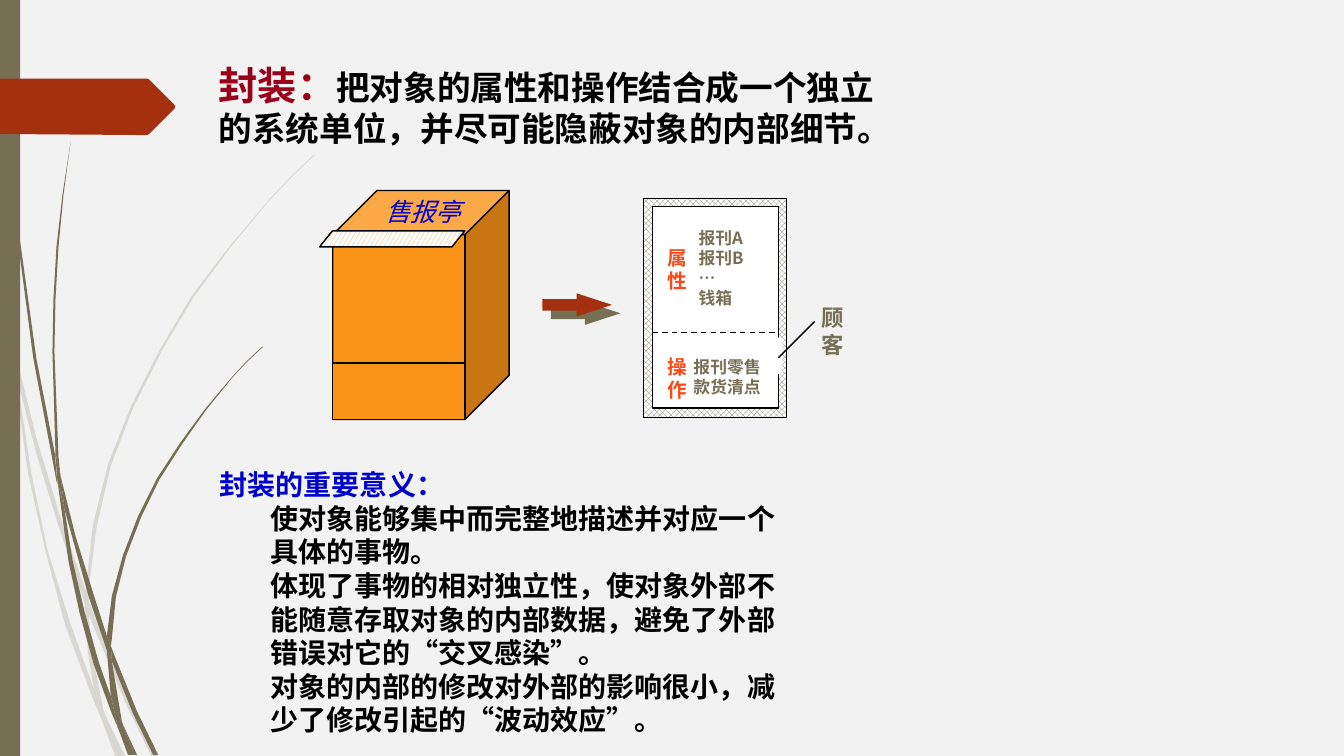
from lxml import etree
from pptx import Presentation
from pptx.dml.color import RGBColor
from pptx.enum.dml import MSO_LINE, MSO_PATTERN
from pptx.enum.shapes import MSO_CONNECTOR, MSO_SHAPE
from pptx.enum.text import MSO_ANCHOR
from pptx.oxml.ns import qn
from pptx.util import Inches, Pt

CUBE, RECT, SLANT = MSO_SHAPE.CUBE, MSO_SHAPE.RECTANGLE, MSO_SHAPE.PARALLELOGRAM
ARROW = MSO_SHAPE.RIGHT_ARROW
CONFETTI, DIAMOND = MSO_PATTERN.LARGE_CONFETTI, MSO_PATTERN.OUTLINED_DIAMOND
STRAIGHT, DASH, TOP = MSO_CONNECTOR.STRAIGHT, MSO_LINE.DASH, MSO_ANCHOR.TOP

FONT = "Noto Sans CJK SC"
COLS, ROWS = 1333, 750
CELL = Inches(0.01)
LEAD = 1.2
HEX = {
    "back": "F2F2F2", "olive": "766F54", "rust": "A53010", "kiosk": "FB9318",
    "wine": "99011A", "blue": "0000CC", "flame": "FB4A18",
    "black": "000000", "white": "FFFFFF",
}

PALE = [
    [(11, 350), (9, 322), (0, 282), (0, 299), (10, 344)],
    [(58, 522), (84, 599), (85, 586), (62, 520), (36, 434), (14, 345), (17, 376), (36, 450)],
    [(92, 607), (88, 596), (88, 610), (123, 694), (150, 750), (155, 750), (127, 692)],
    [(119, 750), (124, 750), (105, 711)],
    [(93, 683), (70, 619), (47, 545), (31, 469), (17, 376), (11, 350), (28, 470),
     (45, 546), (65, 621), (92, 693), (101, 714), (99, 707)],
    [(84, 599), (87, 646), (93, 683), (96, 692), (105, 711), (103, 706), (91, 646),
     (88, 610), (88, 608)],
    [(88, 584), (96, 522), (110, 462), (132, 405), (160, 349), (192, 295), (229, 245),
     (268, 198), (290, 175), (312, 154), (312, 153), (289, 175), (268, 197), (228, 244),
     (190, 294), (158, 348), (130, 403), (107, 461), (92, 522), (85, 584), (85, 586), (88, 596)],
    [(101, 714), (114, 750), (119, 750)],
    [(88, 608), (88, 610), (88, 596), (85, 586), (84, 599)],
    [(96, 692), (93, 683), (99, 707), (101, 714), (119, 750), (105, 711)],
]
DARK = [
    [(7, 110), (17, 233), (33, 355), (56, 477), (57, 481), (55, 457), (55, 453),
     (36, 355), (19, 232), (8, 109), (5, 48), (4, 0), (3, 0), (4, 48)],
    [(88, 592), (106, 645), (106, 633), (106, 631), (93, 590), (75, 532), (60, 472), (64, 505)],
    [(113, 649), (110, 641), (111, 656), (132, 708), (152, 749), (157, 749), (136, 706)],
    [(110, 691), (98, 657), (84, 607), (72, 556), (64, 505), (57, 477), (68, 557),
     (79, 608), (93, 659), (111, 708), (117, 722), (116, 717)],
    [(60, 472), (58, 453), (54, 349), (55, 297), (58, 245), (63, 193), (70, 141),
     (62, 193), (56, 245), (53, 297), (52, 349), (55, 449)],
    [(133, 749), (136, 749), (122, 719)],
    [(57, 477), (64, 505), (60, 472), (55, 449), (55, 453)],
    [(111, 633), (115, 592), (125, 552), (140, 513), (158, 476), (181, 440), (205, 406),
     (231, 374), (245, 359), (261, 344), (260, 344), (245, 358), (231, 373), (204, 405),
     (179, 439), (156, 474), (137, 512), (122, 551), (111, 591), (106, 631), (110, 641)],
    [(117, 722), (127, 749), (131, 749)],
    [(106, 645), (110, 691), (116, 706), (122, 719), (121, 716), (111, 656), (109, 651)],
    [(106, 645), (109, 651), (111, 656), (110, 641), (106, 631), (106, 633)],
    [(116, 706), (110, 691), (116, 717), (117, 722), (130, 749), (133, 749), (122, 719)],
]
TAG = [(173, 108), (148, 133), (146, 134), (136, 134), (0, 133), (0, 78),
       (136, 78), (146, 78), (148, 79), (173, 104), (174, 106)]

BAR = (RECT, (0, 0, 20, 750), "olive", None, False, ())
SHAPES = [
    (CUBE, (330, 189, 175, 227), "kiosk", None, True, (0.25,)),
    (RECT, (330, 360, 131, 56), "kiosk", None, True, ()),
    (SLANT, (317, 229, 144, 16), "kiosk", CONFETTI, True, (0.8,)),
    (ARROW, (538, 291, 69, 23), "rust", None, False, (0.5, 1.53)),
    (RECT, (638, 197, 142, 217), "olive", DIAMOND, True, ()),
    (RECT, (647, 205, 125, 200), "white", None, True, ()),
]
GAP = (RECT, (763, 335, 13, 36), "white", None, False, ())
LINES = [((647, 330, 772, 330), DASH), ((772, 355, 808, 319), None)]

TEXTS = [
    ((217, 67, 680, 88), 0, True, 24, [
        (0, [("封装：", 28, "wine"),
             ("把对象的属性和操作结合成一个独立的系统单位，并尽可能隐蔽对象的内部细节。", 24, "black")])]),
    ((372, 190, 95, 40), 1, False, 18, [(0, [("售报亭", 18, "blue")])]),
    ((652, 239, 45, 57), 1, True, 14, [(0, [(t, 14, "flame")]) for t in "属性"]),
    ((652, 347, 45, 57), 1, True, 14, [(0, [("操作", 14, "flame")])]),
    ((683, 221, 81, 91), 1, True, 12,
     [(0, [(t, 12, "olive")]) for t in ("报刊A", "报刊B", "…", "钱箱")]),
    ((678, 349, 110, 50), 1, True, 12,
     [(0, [(t, 12, "olive")]) for t in ("报刊零售", "款货清点")]),
    ((805, 297, 43, 64), 1, False, 16, [(0, [(t, 16, "olive")]) for t in "顾客"]),
    ((218, 464, 567, 267), 0, True, 20,
     [(0, [("封装的重要意义：", 20, "blue")])] + [(1, [(t, 20, "black")]) for t in (
         "使对象能够集中而完整地描述并对应一个具体的事物。",
         "体现了事物的相对独立性，使对象外部不能随意存取对象的内部数据，避免了外部错误对它的“交叉感染”。",
         "对象的内部的修改对外部的影响很小，减少了修改引起的“波动效应”。")]),
]


def tint(name):
    return RGBColor.from_string(HEX[name])


def span(box):
    return [CELL * n for n in box]


def draw_free(slide, pts, hue, alpha=100):
    pen = slide.shapes.build_freeform(*pts[0], scale=CELL)
    pen.add_line_segments(pts[1:])
    blade = pen.convert_to_shape()
    blade.shadow.inherit = False
    blade.fill.solid()
    blade.fill.fore_color.rgb = tint(hue)
    blade.line.fill.background()
    if alpha < 100:
        tone = blade._element.spPr.find(qn("a:solidFill"))[0]
        etree.SubElement(tone, qn("a:alpha"), val=str(alpha * 1000))


def draw_shape(slide, kind, box, hue, weave, edge, adj):
    item = slide.shapes.add_shape(kind, *span(box))
    item.shadow.inherit = False
    for i, val in enumerate(adj):
        item.adjustments[i] = val
    if weave:
        item.fill.patterned()
        item.fill.pattern = weave
        item.fill.back_color.rgb = tint("white")
    else:
        item.fill.solid()
    item.fill.fore_color.rgb = tint(hue)
    if edge:
        item.line.color.rgb = tint("black")
        item.line.width = Pt(1)
    else:
        item.line.fill.background()
    if kind == ARROW:
        glow = item._element.spPr.find(qn("a:effectLst"))
        cast = etree.SubElement(glow, qn("a:outerShdw"), dist=str(Pt(8.5)),
                                dir="2700000", algn="ctr", rotWithShape="0")
        etree.SubElement(cast, qn("a:srgbClr"), val=HEX["olive"])


def draw_line(slide, ends, dash):
    line = slide.shapes.add_connector(STRAIGHT, *span(ends))
    line.line.color.rgb = tint("black")
    line.line.width = Pt(1)
    if dash:
        line.line.dash_style = dash
    etree.SubElement(line._element.spPr, qn("a:effectLst"))


def draw_text(slide, box, pad, wrap, size, paras):
    frame = slide.shapes.add_textbox(*span(box)).text_frame
    frame.word_wrap = wrap
    frame.vertical_anchor = TOP
    frame.margin_left = frame.margin_right = Inches(0.1 * pad)
    frame.margin_top = frame.margin_bottom = Inches(0.05 * pad)
    for i, (level, runs) in enumerate(paras):
        para = frame.add_paragraph() if i else frame.paragraphs[0]
        para.line_spacing = Pt(size * LEAD)
        if level:
            para.level = level
            para._p.get_or_add_pPr().set("marL", str(Inches(0.5)))
            para._p.get_or_add_pPr().set("indent", "0")
        for words, pts, hue in runs:
            run = para.add_run()
            run.text = words
            run.font.size = Pt(pts)
            run.font.name = FONT
            run.font.bold = size != 18
            run.font.italic = size == 18
            run.font.color.rgb = tint(hue)
            etree.SubElement(run._r.get_or_add_rPr(), qn("a:ea"), typeface=FONT)


def main():
    deck = Presentation()
    deck.slide_width, deck.slide_height = CELL * COLS, CELL * ROWS
    slide = deck.slides.add_slide(deck.slide_layouts[6])
    slide.background.fill.solid()
    slide.background.fill.fore_color.rgb = tint("back")
    for blades, alpha in ((PALE, 20), (DARK, 100)):
        for pts in blades:
            draw_free(slide, pts, "olive", alpha)
    draw_shape(slide, *BAR)
    draw_free(slide, TAG, "rust")
    for item in SHAPES:
        draw_shape(slide, *item)
    draw_line(slide, *LINES[0])
    draw_shape(slide, *GAP)
    for item in TEXTS:
        draw_text(slide, *item)
    draw_line(slide, *LINES[1])
    deck.save("out.pptx")


if __name__ == "__main__":
    main()
